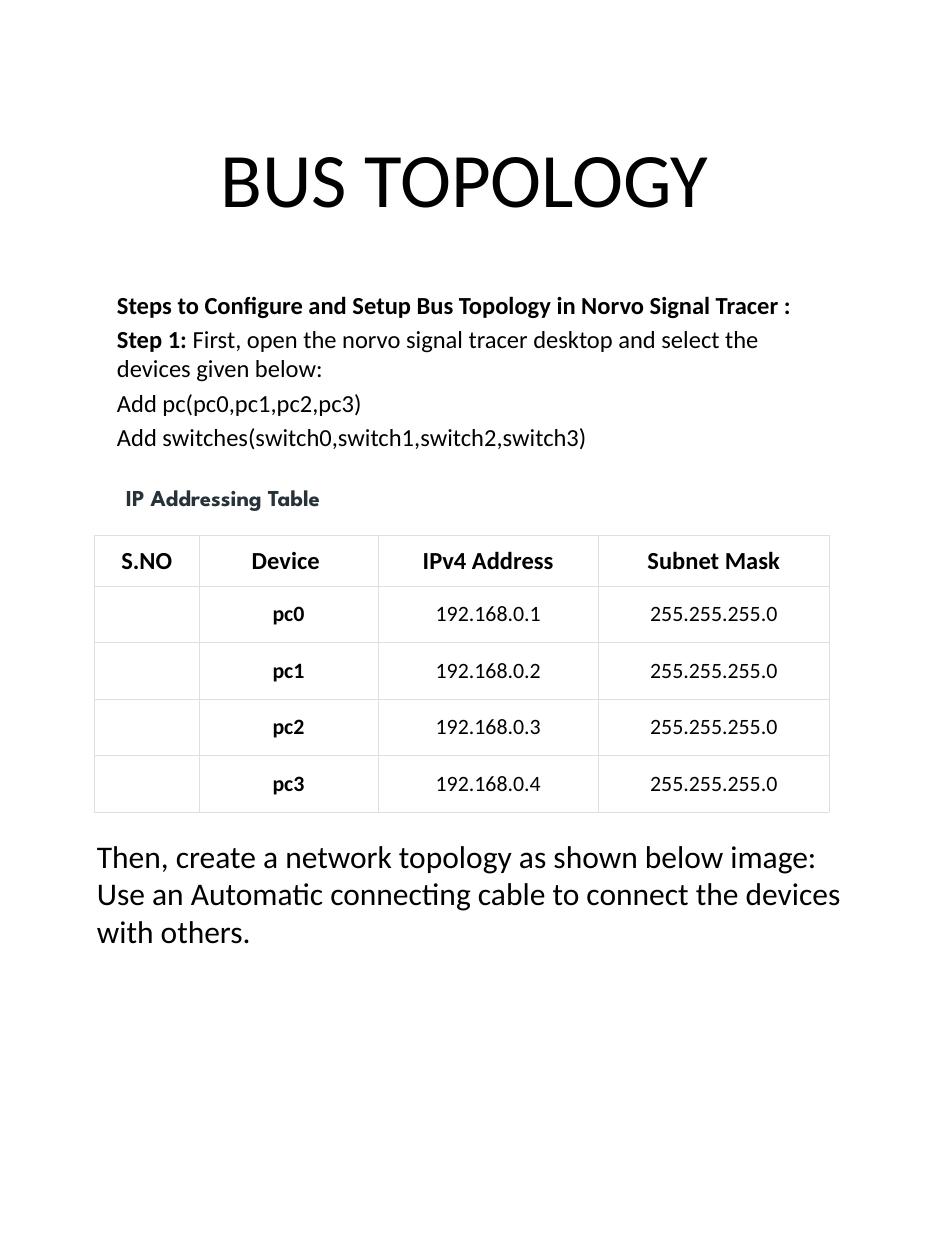
from lxml import etree
from pptx import Presentation
from pptx.dml.color import RGBColor
from pptx.enum.shapes import MSO_SHAPE
from pptx.enum.text import MSO_ANCHOR, PP_ALIGN
from pptx.oxml.ns import qn
from pptx.util import Inches, Pt

CENTER, JUSTIFY = PP_ALIGN.CENTER, PP_ALIGN.JUSTIFY
MIDDLE = MSO_ANCHOR.MIDDLE
RECTANGLE = MSO_SHAPE.RECTANGLE
BODY_FONT = "Calibri"
BLACK, WHITE, SLATE, GRID = "000000", "FFFFFF", "273239", "DFDFDF"

STEPS = [
    [("Steps to Configure and Setup Bus Topology in Norvo Signal Tracer :", True)],
    [("Step 1:", True),
     (" First, open the norvo signal tracer desktop and select the devices given below:", False)],
    [("Add pc(pc0,pc1,pc2,pc3)", False)],
    [("Add switches(switch0,switch1,switch2,switch3)", False)],
]
CLOSING = [
    [("Then, create a network topology as shown below image:", False)],
    [("Use an Automatic connecting cable to connect the devices with others.", False)],
]
ADDRESS_ROWS = [["S.NO", "Device ", "IPv4 Address", "Subnet Mask"]] + [
    ["", f"pc{i}", f"192.168.0.{i + 1}", "255.255.255.0"] for i in range(4)
]
COLUMN_WIDTHS = [0.83, 1.42, 1.75, 1.83]
ROW_HEIGHTS = [0.4] + [0.44] * 4


def rgb(value):
    return RGBColor.from_string(value)


def inches(box):
    return [Inches(length) for length in box]


def set_font(paragraph, size, color=BLACK, name=BODY_FONT, bold=None):
    font = paragraph.font
    font.name, font.size, font.bold = name, Pt(size), bold
    font.color.rgb = rgb(color)


def set_margins(target, horizontal, vertical):
    target.margin_left = target.margin_right = Inches(horizontal)
    target.margin_top = target.margin_bottom = Inches(vertical)


def add_title(slide, box, text):
    title = slide.shapes.title
    title.left, title.top, title.width, title.height = inches(box)
    frame = title.text_frame
    frame.text = text
    frame.vertical_anchor = MIDDLE
    frame.paragraphs[0].alignment = CENTER
    set_font(frame.paragraphs[0], 44)


def add_paragraphs(slide, box, paragraphs, size, space_before=0):
    frame = slide.shapes.add_textbox(*inches(box)).text_frame
    frame.word_wrap = True
    for index, runs in enumerate(paragraphs):
        paragraph = frame.add_paragraph() if index else frame.paragraphs[0]
        paragraph.space_before = Pt(space_before)
        set_font(paragraph, size)
        for text, bold in runs:
            run = paragraph.add_run()
            run.text = text
            run.font.bold = bold


def add_table_heading(slide, box, text):
    heading = slide.shapes.add_shape(RECTANGLE, *inches(box))
    heading.shadow.inherit = False
    heading.fill.solid()
    heading.fill.fore_color.rgb = rgb(WHITE)
    heading.line.fill.background()
    frame = heading.text_frame
    frame.text = text
    frame.word_wrap = True
    frame.vertical_anchor = MIDDLE
    set_margins(frame, 0, 0)
    frame.paragraphs[0].alignment = JUSTIFY
    set_font(frame.paragraphs[0], 13, SLATE, "League Spartan", True)


def add_borders(cell, color, width):
    properties = cell._tc.get_or_add_tcPr()
    for side in ("a:lnL", "a:lnR", "a:lnT", "a:lnB"):
        line = etree.SubElement(properties, qn(side), w=str(Pt(width)))
        fill = etree.SubElement(line, qn("a:solidFill"))
        etree.SubElement(fill, qn("a:srgbClr"), val=color)


def add_address_table(slide, box):
    table = slide.shapes.add_table(
        len(ADDRESS_ROWS), len(COLUMN_WIDTHS), *inches(box)).table
    table.first_row = table.horz_banding = False
    for column, width in zip(table.columns, COLUMN_WIDTHS):
        column.width = Inches(width)
    for r, (row, height) in enumerate(zip(ADDRESS_ROWS, ROW_HEIGHTS)):
        table.rows[r].height = Inches(height)
        for c, text in enumerate(row):
            cell = table.cell(r, c)
            add_borders(cell, GRID, 0.18)
            cell.fill.background()
            cell.vertical_anchor = MIDDLE
            set_margins(cell, 0.04 if c == 0 else 0.08, 0.12 if r else 0.08)
            cell.text = text
            paragraph = cell.text_frame.paragraphs[0]
            paragraph.alignment = CENTER
            set_font(paragraph, 12.5 if r else 14, bold=r == 0 or c == 1)


def main():
    prs = Presentation()
    prs.slide_width, prs.slide_height = Inches(7.5), Inches(10)
    slide = prs.slides.add_slide(prs.slide_layouts[5])
    add_title(slide, (0.5, 0.56, 6.38, 1.69), "BUS TOPOLOGY")
    add_paragraphs(slide, (0.83, 2.25, 5.92, 1.57), STEPS, 14, space_before=2.8)
    add_address_table(slide, (0.75, 4.25, sum(COLUMN_WIDTHS), sum(ROW_HEIGHTS)))
    add_table_heading(slide, (1, 3.84, 6.33, 0.22), "IP Addressing Table")
    add_paragraphs(slide, (0.67, 6.59, 6.38, 1.01), CLOSING, 18)
    prs.save("out.pptx")


if __name__ == "__main__":
    main()
